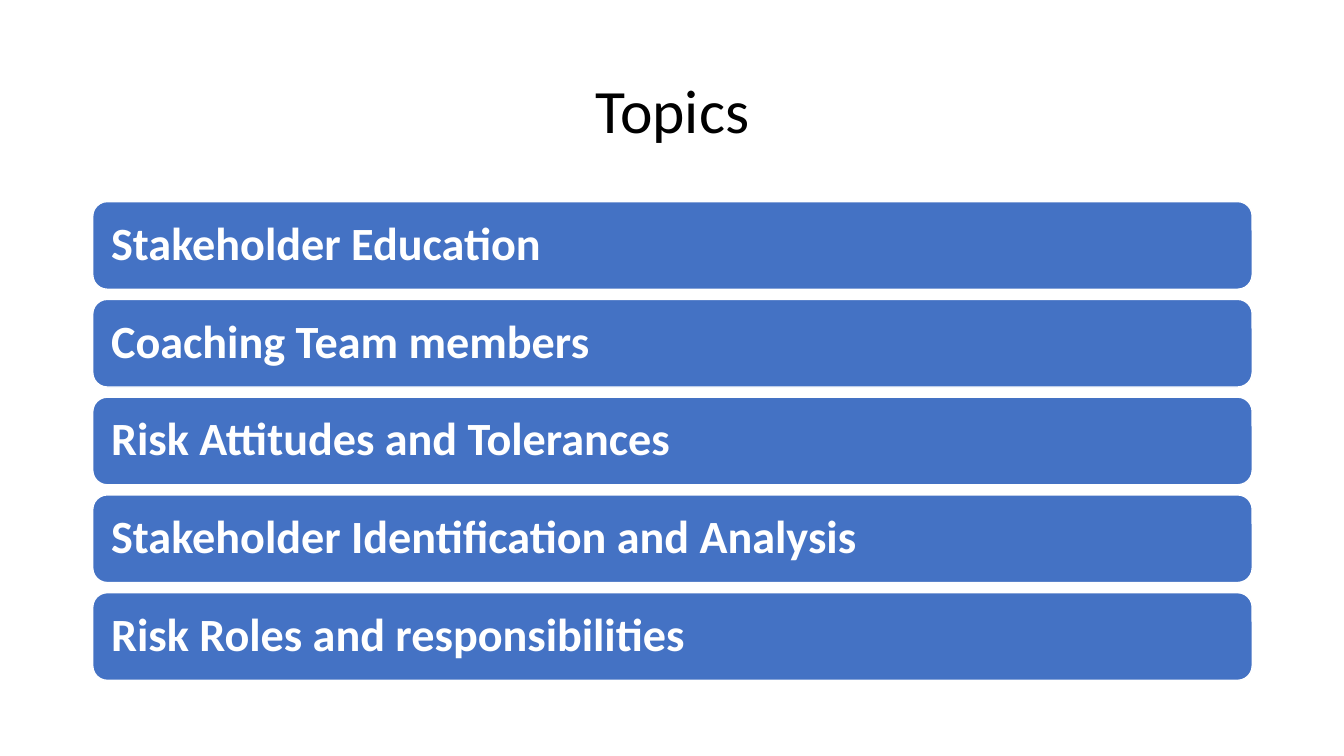
from pptx import Presentation, util as u
from pptx.dml import color
from pptx.enum import shapes, text

FONT = "Calibri"
TOPICS = [
    "Stakeholder Education",
    "Coaching Team members",
    "Risk Attitudes and Tolerances",
    "Stakeholder Identification and Analysis",
    "Risk Roles and responsibilities",
]
LEFT, WIDTH = 0.92, 11.5
FIRST_TOP, BAR_HEIGHT, BAR_PITCH = 2, 0.87, 0.97


def rgb(hex_color):
    """Turn a hex string into a colour."""
    return color.RGBColor.from_string(hex_color)


def set_attributes(target, values):
    """Set each named attribute of the target."""
    for name, value in values.items():
        setattr(target, name, value)


def write_text(shape, wording, size, hex_color, align, inset, bold=False):
    """Write one vertically centred paragraph into a shape."""
    frame = shape.text_frame
    set_attributes(frame, {
        "word_wrap": True,
        "vertical_anchor": text.MSO_ANCHOR.MIDDLE,
        "margin_left": inset,
        "margin_right": inset,
        "margin_top": u.Inches(0.05),
        "margin_bottom": u.Inches(0.05),
    })
    paragraph = frame.paragraphs[0]
    set_attributes(paragraph, {"alignment": align, "line_spacing": 0.9})
    run = paragraph.add_run()
    run.text = wording
    set_attributes(run.font, {"name": FONT, "size": u.Pt(size), "bold": bold})
    run.font.color.rgb = rgb(hex_color)


def add_title(slide, wording):
    """Add the centred slide title."""
    title = slide.shapes.add_textbox(
        u.Inches(LEFT), u.Inches(0.4), u.Inches(WIDTH), u.Inches(1.45))
    write_text(title, wording, 44, "000000", text.PP_ALIGN.CENTER, u.Inches(0.1))


def add_topic_bar(slide, wording, top):
    """Add a rounded bar that holds one topic."""
    bar = slide.shapes.add_shape(
        shapes.MSO_SHAPE.ROUNDED_RECTANGLE,
        u.Inches(LEFT), u.Inches(top), u.Inches(WIDTH), u.Inches(BAR_HEIGHT))
    bar.shadow.inherit = False
    bar.fill.solid()
    bar.fill.fore_color.rgb = rgb("4472C4")
    bar.line.color.rgb = rgb("FFFFFF")
    bar.line.width = u.Pt(1)
    write_text(bar, wording, 33, "FFFFFF", text.PP_ALIGN.LEFT,
               u.Inches(0.14), bold=True)


def main():
    """Build the topics slide."""
    presentation = Presentation()
    set_attributes(presentation, {
        "slide_width": u.Inches(13.33), "slide_height": u.Inches(7.5)})
    slide = presentation.slides.add_slide(presentation.slide_layouts[6])
    add_title(slide, "Topics")
    for index, topic in enumerate(TOPICS):
        add_topic_bar(slide, topic, FIRST_TOP + index * BAR_PITCH)
    presentation.save("out.pptx")


main()
